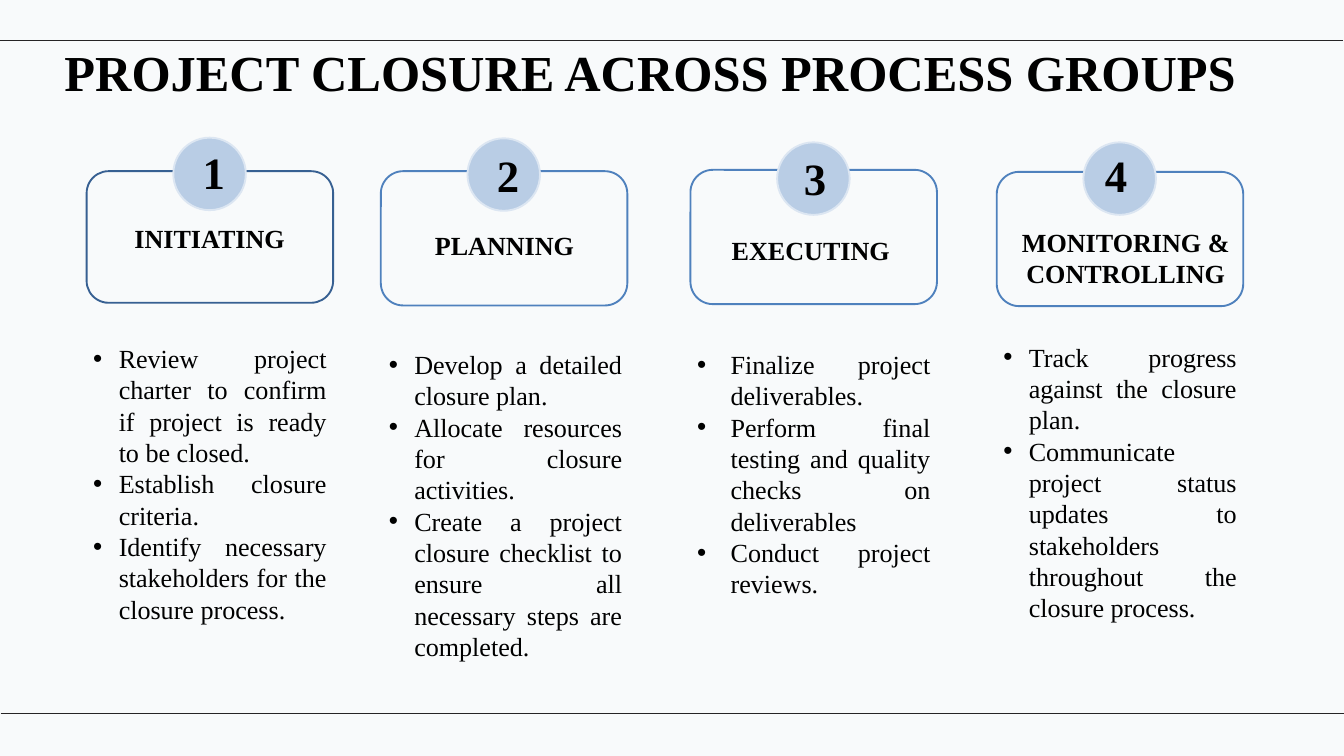
from dataclasses import dataclass

from lxml import etree
from pptx import Presentation
from pptx import util as u
from pptx.dml.color import RGBColor
from pptx.enum import shapes, text
from pptx.oxml.ns import qn

PX = 9144  # 100 px to the inch


def px(length: int) -> u.Emu:
    return u.Emu(length * PX)


@dataclass(frozen=True)
class Theme:
    font: str = "Times New Roman"
    background: str = "F8FAFB"
    ink: str = "000000"
    rule: str = "262425"
    box_line: str = "4F81BD"
    first_box_line: str = "376092"
    badge: str = "B9CDE5"
    badge_line: str = "DCE6F2"
    title_size: float = 54
    number_size: float = 48
    body_size: float = 28
    rule_width: float = 1.47
    outline_width: float = 2


THEME = Theme()


@dataclass(frozen=True)
class Box:
    left: int
    top: int
    width: int
    height: int

    def emu(self) -> tuple[u.Emu, ...]:
        return px(self.left), px(self.top), px(self.width), px(self.height)


@dataclass(frozen=True)
class ProcessGroup:
    name: str
    points: tuple[str, ...]
    frame: Box
    badge_top: int
    number_left: int
    number_top: int
    name_box: Box
    points_box: Box
    line: str = THEME.box_line
    indent: int = 38


GROUPS = (
    ProcessGroup(
        "INITIATING",
        ("Review project charter to confirm if project is ready to be closed.",
         "Establish closure criteria.",
         "Identify necessary stakeholders for the closure process."),
        Box(129, 255, 367, 196), 205, 292, 210,
        Box(183, 327, 258, 57), Box(129, 505, 367, 434), line=THEME.first_box_line),
    ProcessGroup(
        "PLANNING",
        ("Develop a detailed closure plan.",
         "Allocate resources for closure activities.",
         "Create a project closure checklist to ensure all necessary steps are completed."),
        Box(567, 255, 367, 200), 206, 730, 215,
        Box(622, 337, 258, 57), Box(569, 514, 367, 481)),
    ProcessGroup(
        "EXECUTING",
        ("Finalize project deliverables.",
         "Perform final testing and quality checks on deliverables",
         "Conduct project reviews."),
        Box(1028, 253, 367, 200), 212, 1187, 220,
        Box(1078, 344, 258, 57), Box(1028, 514, 367, 387), indent=50),
    ProcessGroup(
        "MONITORING & CONTROLLING",
        ("Track progress against the closure plan.",
         "Communicate project status updates to stakeholders throughout the closure process."),
        Box(1484, 256, 367, 200), 212, 1635, 215,
        Box(1501, 332, 350, 104), Box(1484, 503, 367, 434)),
)
BADGE_OFFSET, BADGE_SIZE = 129, 108


def style(paragraph, size: float, bold: bool, align=text.PP_ALIGN.LEFT) -> None:
    paragraph.alignment = align
    font = paragraph.font
    font.name, font.size, font.bold = THEME.font, u.Pt(size), bold
    font.color.rgb = RGBColor.from_string(THEME.ink)


def add_bullet(paragraph, indent: int) -> None:
    properties = paragraph._p.get_or_add_pPr()
    properties.set("marL", str(px(indent)))
    properties.set("indent", str(-px(indent)))
    bullet_font = etree.Element(qn("a:buFont"), typeface="Arial")
    bullet = etree.Element(qn("a:buChar"), char="•")
    properties.insert_element_before(bullet_font, "a:defRPr")
    properties.insert_element_before(bullet, "a:defRPr")


def add_text(slide, box: Box, lines: tuple[str, ...], size: float, bold: bool,
             align=text.PP_ALIGN.LEFT, indent: int = 0) -> None:
    frame = slide.shapes.add_textbox(*box.emu()).text_frame
    frame.word_wrap = True
    frame.text = "\n".join(lines)
    for paragraph in frame.paragraphs:
        style(paragraph, size, bold, align)
        if indent:
            add_bullet(paragraph, indent)


def add_outline(slide, kind, box: Box, line: str, fill: str | None = None) -> None:
    shape = slide.shapes.add_shape(kind, *box.emu())
    shape.shadow.inherit = False
    shape.line.color.rgb = RGBColor.from_string(line)
    shape.line.width = u.Pt(THEME.outline_width)
    if fill:
        shape.fill.solid()
        shape.fill.fore_color.rgb = RGBColor.from_string(fill)
    else:
        shape.fill.background()


def add_rule(slide, left: int, top: int) -> None:
    rule = slide.shapes.add_connector(
        shapes.MSO_CONNECTOR.STRAIGHT, px(left), px(top), px(left + 2000), px(top))
    rule.line.color.rgb = RGBColor.from_string(THEME.rule)
    rule.line.width = u.Pt(THEME.rule_width)
    etree.SubElement(rule._element.spPr, qn("a:effectLst"))


def set_title(slide, box: Box, wording: str) -> None:
    title = slide.shapes.title
    title.left, title.top, title.width, title.height = box.emu()
    frame = title.text_frame
    frame.text = wording
    frame.word_wrap = True
    frame.auto_size = text.MSO_AUTO_SIZE.NONE
    frame.vertical_anchor = text.MSO_ANCHOR.TOP
    frame.margin_left = frame.margin_right = frame.margin_bottom = 0
    frame.margin_top = px(1)
    paragraph = frame.paragraphs[0]
    paragraph.space_before = u.Pt(0.9)
    style(paragraph, THEME.title_size, True)


def add_group(slide, number: int, group: ProcessGroup) -> None:
    add_outline(slide, shapes.MSO_SHAPE.ROUNDED_RECTANGLE, group.frame, group.line)
    badge = Box(group.frame.left + BADGE_OFFSET, group.badge_top, BADGE_SIZE, BADGE_SIZE)
    add_outline(slide, shapes.MSO_SHAPE.OVAL, badge, THEME.badge_line, THEME.badge)
    number_box = Box(group.number_left, group.number_top, 41, 91)
    add_text(slide, number_box, (str(number),), THEME.number_size, True)
    add_text(slide, group.name_box, (group.name,), THEME.body_size, True,
             text.PP_ALIGN.CENTER)
    add_text(slide, group.points_box, group.points, THEME.body_size, False,
             text.PP_ALIGN.JUSTIFY, group.indent)


def main() -> None:
    presentation = Presentation()
    presentation.slide_width, presentation.slide_height = px(2001), px(1126)
    slide = presentation.slides.add_slide(presentation.slide_layouts[5])
    slide.background.fill.solid()
    slide.background.fill.fore_color.rgb = RGBColor.from_string(THEME.background)

    # Title between the page rules
    add_rule(slide, 0, 60)
    add_rule(slide, 1, 1063)
    set_title(slide, Box(96, 60, 1808, 92), "PROJECT CLOSURE ACROSS PROCESS GROUPS")

    # One column per process group
    for number, group in enumerate(GROUPS, start=1):
        add_group(slide, number, group)

    presentation.save("out.pptx")


if __name__ == "__main__":
    main()
